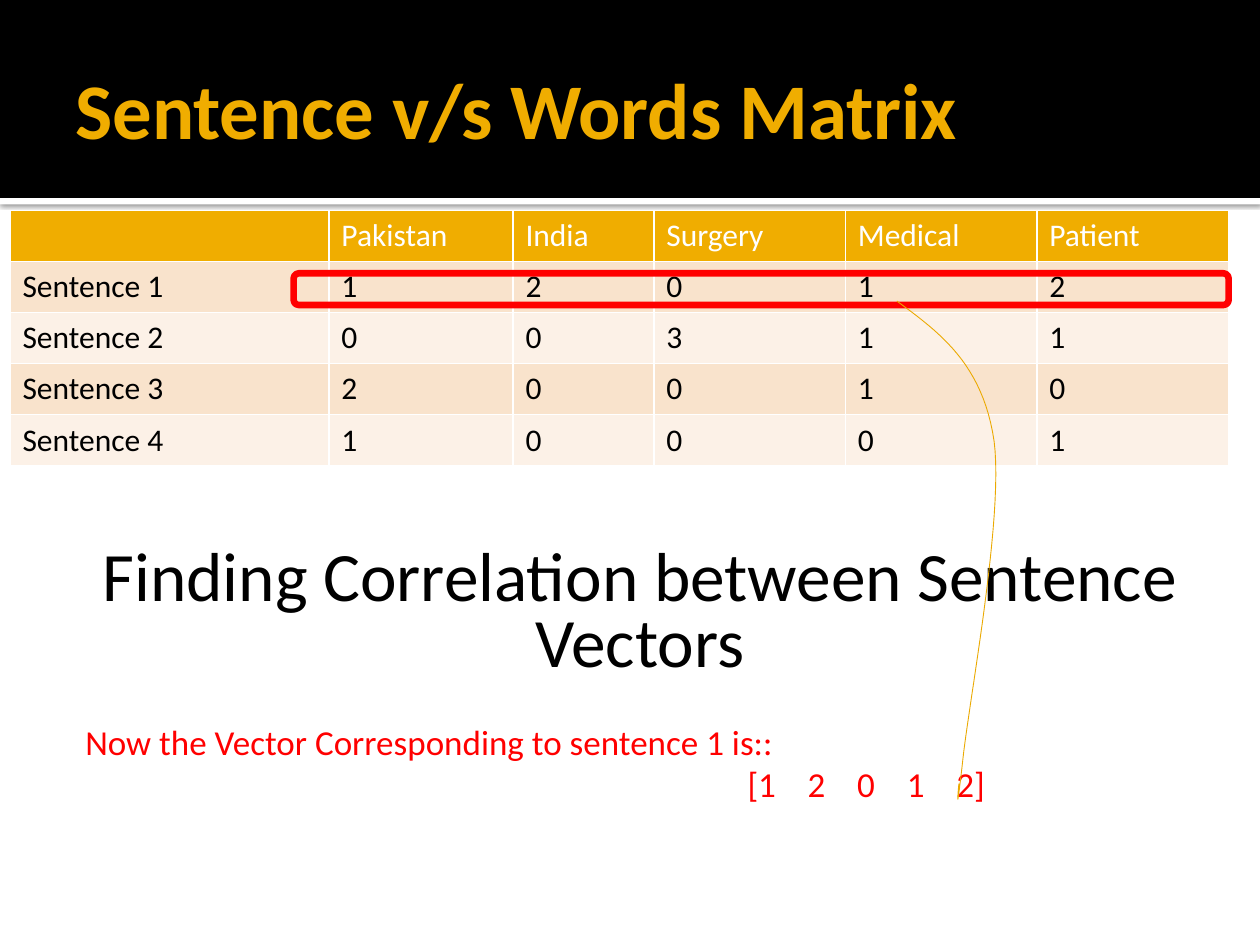
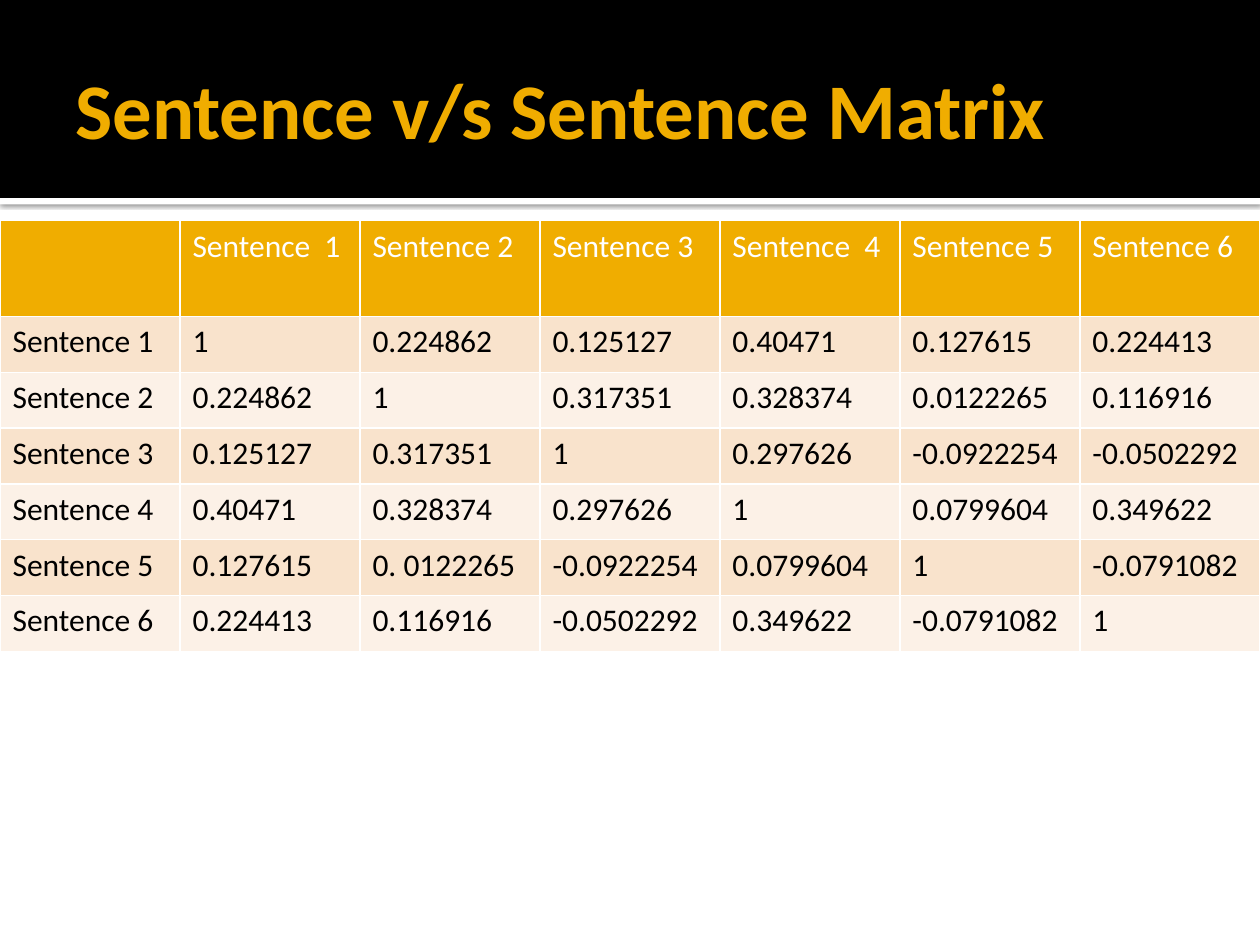
from lxml import etree
from pptx import Presentation
from pptx.dml.color import RGBColor
from pptx.enum.shapes import MSO_SHAPE
from pptx.enum.text import MSO_ANCHOR, PP_ALIGN
from pptx.oxml.ns import qn
from pptx.util import Cm, Pt

RECTANGLE = MSO_SHAPE.RECTANGLE
ROUNDED = MSO_SHAPE.FLOWCHART_ALTERNATE_PROCESS
MIDDLE, TOP = MSO_ANCHOR.MIDDLE, MSO_ANCHOR.TOP
LEFT, CENTER = PP_ALIGN.LEFT, PP_ALIGN.CENTER

FONT = "Calibri"
COLORS = {
    "black": "000000",
    "white": "FFFFFF",
    "gold": "F0AD00",
    "dark_gold": "EBA900",
    "odd_row": "F9E3CC",
    "even_row": "FCF1E7",
    "red": "FF0000",
}
RGB = {name: RGBColor.from_string(value) for name, value in COLORS.items()}

# Content: title, table place, column widths, row heights and cells of each slide
matrices = [
    {
        "title": "Sentence v/s Words Matrix",
        "left": 0.2, "top": 4.24,
        "widths": [6.43, 3.71, 2.84, 3.86, 3.86, 3.86],
        "heights": [1.03] * 5,
        "cells": [
            ["", "Pakistan", "India", "Surgery", "Medical", "Patient"],
            ["Sentence 1", "1", "2", "0", "1", "2"],
            ["Sentence 2", "0", "0", "3", "1", "1"],
            ["Sentence 3", "2", "0", "0", "1", "0"],
            ["Sentence 4", "1", "0", "0", "0", "1"],
        ],
    },
    {
        "title": "Sentence v/s Sentence Matrix",
        "left": 0, "top": 4.45,
        "widths": [25.4 / 7] * 7,
        "heights": [1.93] + [1.125] * 6,
        "cells": [
            ["", "Sentence  1", "Sentence 2", "Sentence 3", "Sentence  4", "Sentence 5", "Sentence 6"],
            ["Sentence 1", "1", "0.224862", "0.125127", "0.40471", "0.127615", "0.224413"],
            ["Sentence 2", "0.224862", "1", "0.317351", "0.328374", "0.0122265", "0.116916"],
            ["Sentence 3", "0.125127", "0.317351", "1", "0.297626", "-0.0922254", "-0.0502292"],
            ["Sentence 4", "0.40471", "0.328374", "0.297626", "1", "0.0799604", "0.349622"],
            ["Sentence 5", "0.127615", "0. 0122265", "-0.0922254", "0.0799604", "1", "-0.0791082"],
            ["Sentence 6", "0.224413", "0.116916", "-0.0502292", "0.349622", "-0.0791082", "1"],
        ],
    },
]


def write(frame, text, size=18, color="black", bold=False, align=LEFT,
          anchor=TOP, spacing=None):
    """Fill a text frame, one paragraph for each line of text."""
    frame.word_wrap = True
    frame.vertical_anchor = anchor
    frame.text = text
    for paragraph in frame.paragraphs:
        paragraph.alignment = align
        paragraph.line_spacing = spacing
        paragraph.font.size = Pt(size)
        for run in paragraph.runs:
            run.font.name = FONT
            run.font.size = Pt(size)
            run.font.bold = bold
            run.font.color.rgb = RGB[color]


prs = Presentation()
prs.slide_width, prs.slide_height = Cm(25.4), Cm(19.05)

for matrix in matrices:
    slide = prs.slides.add_slide(prs.slide_layouts[6])

    # White strip with its shadow, then the black title band
    for top, height, color in [(3.99, 0.13, "white"), (0, 3.99, "black")]:
        band = slide.shapes.add_shape(RECTANGLE, 0, Cm(top), prs.slide_width, Cm(height))
        band.shadow.inherit = False
        band.fill.solid()
        band.fill.fore_color.rgb = RGB[color]
        band.line.fill.background()
        if color == "white":
            effects = band.element.spPr.find(qn("a:effectLst"))
            shadow = etree.SubElement(effects, qn("a:outerShdw"), blurRad=str(Pt(2.5)),
                                      dist=str(Pt(0.8)), dir="5400000", rotWithShape="0")
            shade = etree.SubElement(shadow, qn("a:srgbClr"), val=COLORS["black"])
            etree.SubElement(shade, qn("a:alpha"), val="60000")

    # Title
    title = slide.shapes.add_textbox(Cm(1.27), Cm(0.43), Cm(22.86), Cm(3.48))
    title.text_frame.margin_right = Cm(0.13)
    write(title.text_frame, matrix["title"], size=45, color="gold", bold=True, anchor=MIDDLE)

    # Matrix; the default table style supplies the white grid
    cells, widths, heights = matrix["cells"], matrix["widths"], matrix["heights"]
    table = slide.shapes.add_table(
        len(heights), len(widths), Cm(matrix["left"]), Cm(matrix["top"]),
        Cm(sum(widths)), Cm(sum(heights))).table
    for column, width in zip(table.columns, widths):
        column.width = Cm(width)
    for r, (row, height) in enumerate(zip(table.rows, heights)):
        row.height = Cm(height)
        fill = "gold" if r == 0 else "odd_row" if r % 2 else "even_row"
        for cell, value in zip(row.cells, cells[r]):
            cell.fill.solid()
            cell.fill.fore_color.rgb = RGB[fill]
            write(cell.text_frame, value, color="black" if r else "white")

# Sentence vector, its numbers aligned on tab stops
words_slide = prs.slides[0]
vector = words_slide.shapes.add_textbox(Cm(1.47), Cm(14.4), Cm(19.96), Cm(1.96))
write(vector.text_frame,
      "Now the Vector Corresponding to sentence 1 is::\n\t[1\t2\t0\t1\t2]",
      size=20, color="red")
tabs = etree.SubElement(vector.text_frame.paragraphs[1]._p.get_or_add_pPr(), qn("a:tabLst"))
for stop in [13.35] + [14.56 + step for step in range(4)]:
    etree.SubElement(tabs, qn("a:tab"), pos=str(Cm(stop)), algn="l")

# Heading below the matrix
heading = words_slide.shapes.add_textbox(Cm(1.47), Cm(10.8), Cm(22.86), Cm(3.18))
write(heading.text_frame, "Finding Correlation between Sentence Vectors",
      size=39.6, align=CENTER, anchor=MIDDLE, spacing=0.8)

# Frame around the values of sentence 1
highlight = words_slide.shapes.add_shape(ROUNDED, Cm(5.92), Cm(5.51), Cm(18.85), Cm(0.64))

# Curve from the frame to the vector: Bézier pieces that share their end points
bends = [(18.08, 6.07), (18.95, 6.71), (19.81, 7.34), (20.04, 8.89), (20.24, 10.44),
         (19.53, 14.15), (19.41, 15.32), (19.28, 16.46), (19.3, 16.13), (19.33, 15.8)]
STEPS = 24
curve = []
for start in range(0, len(bends) - 1, 3):
    for step in range(1, STEPS + 1):
        t = step / STEPS
        weights = [(1 - t) ** 3, 3 * t * (1 - t) ** 2, 3 * t ** 2 * (1 - t), t ** 3]
        curve.append([Cm(sum(w * bend[axis] for w, bend in zip(weights, bends[start:start + 4])))
                      for axis in (0, 1)])
builder = words_slide.shapes.build_freeform(Cm(bends[0][0]), Cm(bends[0][1]))
builder.add_line_segments(curve, close=False)
pointer = builder.convert_to_shape()

for outline, color, width in [(highlight, "red", 3.78), (pointer, "dark_gold", 0.5)]:
    outline.shadow.inherit = False
    outline.fill.background()
    outline.line.color.rgb = RGB[color]
    outline.line.width = Pt(width)

prs.save("out.pptx")
